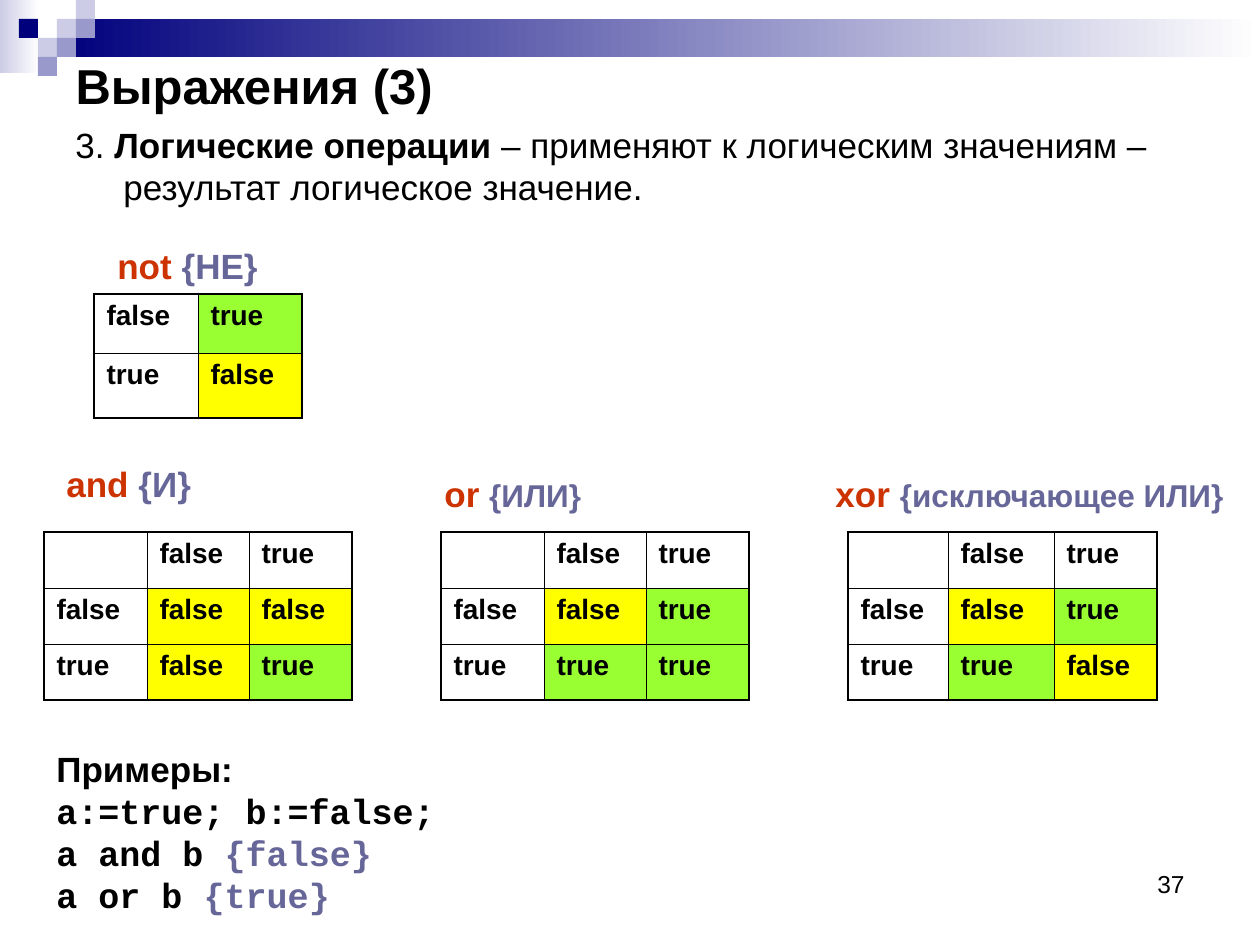
from lxml import etree
from pptx import Presentation
from pptx.dml.color import RGBColor
from pptx.enum.shapes import MSO_SHAPE
from pptx.enum.text import MSO_ANCHOR, MSO_AUTO_SIZE, PP_ALIGN
from pptx.oxml.ns import qn
from pptx.util import Pt

PX = 914400 / 126
BLACK = RGBColor(0x00, 0x00, 0x00)
WHITE = RGBColor(0xFF, 0xFF, 0xFF)
NAVY = RGBColor(0x00, 0x00, 0x7D)
LAVENDER = RGBColor(0xCC, 0xCC, 0xE6)
VIOLET = RGBColor(0x99, 0x99, 0xCC)
RED = RGBColor(0xCC, 0x33, 0x00)
SLATE = RGBColor(0x66, 0x66, 0x99)
GREEN = RGBColor(0x99, 0xFF, 0x33)
YELLOW = RGBColor(0xFF, 0xFF, 0x00)
RESULT_FILLS = {"true": GREEN, "false": YELLOW}

OUTER, INNER = 1.08, 0.45
SQUARE = 19
SQUARES = [(3, 1, LAVENDER), (4, 0, LAVENDER), (4, 1, VIOLET), (2, 2, LAVENDER),
           (1, 1, NAVY), (3, 2, VIOLET), (2, 3, VIOLET)]


def px(length):
    return round(length * PX)


def add_span(para, text, size=20, color=BLACK, bold=False, font="Arial"):
    span = para.add_run()
    span.text = text
    span.font.name = font
    span.font.size = Pt(size)
    span.font.bold = bold
    span.font.color.rgb = color


def add_box(page, left, top, width, height):
    box = page.shapes.add_textbox(px(left), px(top), px(width), px(height))
    box.text_frame.word_wrap = True
    return box.text_frame


def add_rect(page, left, top, width, height, color, fade=False):
    """Draw a borderless rectangle, plain or fading to white on the right."""
    rect = page.shapes.add_shape(MSO_SHAPE.RECTANGLE, px(left), px(top), px(width), px(height))
    rect.shadow.inherit = False
    rect.line.fill.background()
    if fade:
        rect.fill.gradient()
        rect.fill.gradient_angle = 0
        for stop, shade in zip(rect.fill.gradient_stops, (color, WHITE)):
            stop.color.rgb = shade
    else:
        rect.fill.solid()
        rect.fill.fore_color.rgb = color


def add_decoration(page):
    add_rect(page, 0, 0, 39, 73, LAVENDER, fade=True)
    add_rect(page, 57, 19, 1203, 38, NAVY, fade=True)
    for column, row, color in SQUARES:
        add_rect(page, column * SQUARE, row * SQUARE, SQUARE, SQUARE, color)


def set_title(page, text):
    title = page.shapes.title
    title.left, title.top, title.width, title.height = px(63), px(63), px(1134), px(43)
    frame = title.text_frame
    frame.auto_size = MSO_AUTO_SIZE.NONE
    frame.vertical_anchor = MSO_ANCHOR.MIDDLE
    para = frame.paragraphs[0]
    para.alignment = PP_ALIGN.LEFT
    add_span(para, text, size=28, bold=True)


def add_definition(page):
    para = add_box(page, 63, 117, 1197, 110).paragraphs[0]
    para.line_spacing = Pt(24)
    properties = para._p.get_or_add_pPr()
    properties.set("marL", str(px(48)))
    properties.set("indent", str(px(-48)))
    add_span(para, "3. ")
    add_span(para, "Логические операции", bold=True)
    add_span(para, " – применяют к логическим значениям – результат логическое значение.")


def add_label(page, left, top, width, operator, meaning, size=20):
    para = add_box(page, left, top, width, 55).paragraphs[0]
    add_span(para, operator + " ", color=RED, bold=True)
    add_span(para, meaning, size=size, color=SLATE, bold=True)


def set_border(cell, side, points):
    line = etree.SubElement(cell._tc.get_or_add_tcPr(), qn(f"a:ln{side}"), w=str(Pt(points)))
    fill = etree.SubElement(line, qn("a:solidFill"))
    etree.SubElement(fill, qn("a:srgbClr"), val=str(BLACK))


def add_truth_table(page, left, top, widths, heights, rows, heading_rows):
    """Fill a grid; cells past the heading rows and first column are coloured by value."""
    frame = page.shapes.add_table(len(heights), len(widths), px(left), px(top),
                                  px(sum(widths)), px(sum(heights)))
    table = frame.table
    table.first_row = table.horz_banding = False
    for column, width in zip(table.columns, widths):
        column.width = px(width)
    for row, height in zip(table.rows, heights):
        row.height = px(height)
    last_row, last_column = len(heights) - 1, len(widths) - 1
    for i, values in enumerate(rows):
        for j, value in enumerate(values):
            cell = table.cell(i, j)
            edges = {"L": j == 0, "R": j == last_column, "T": i == 0, "B": i == last_row}
            for side, is_outer in edges.items():
                set_border(cell, side, OUTER if is_outer else INNER)
            if i >= heading_rows and j > 0:
                cell.fill.solid()
                cell.fill.fore_color.rgb = RESULT_FILLS[value]
            else:
                cell.fill.background()
            if value:
                add_span(cell.text_frame.paragraphs[0], value, size=16, bold=True)


def add_binary_table(page, left, widths, operation):
    operands = (False, True)
    rows = [["", "false", "true"]]
    for first in operands:
        results = [operation(first, second) for second in operands]
        rows.append([str(value).lower() for value in (first, *results)])
    add_truth_table(page, left, 532, widths, [56] * 3, rows, heading_rows=1)


def add_examples(page):
    frame = add_box(page, 44, 741, 1160, 181)
    lines = [("Примеры:", "", "Arial"),
             ("a:=true; b:=false;", "", "Courier New"),
             ("a and b ", "{false}", "Courier New"),
             ("a or b ", "{true}", "Courier New")]
    for index, (code, comment, font) in enumerate(lines):
        para = frame.add_paragraph() if index else frame.paragraphs[0]
        para.line_spacing = Pt(24)
        add_span(para, code, bold=True, font=font)
        if comment:
            add_span(para, comment, color=SLATE, bold=True, font=font)


def add_page_number(page, number):
    para = add_box(page, 903, 863, 294, 66).paragraphs[0]
    para.alignment = PP_ALIGN.RIGHT
    add_span(para, number, size=14)


def main():
    deck = Presentation()
    deck.slide_width, deck.slide_height = px(1260), px(945)
    page = deck.slides.add_slide(deck.slide_layouts[5])
    add_decoration(page)
    set_title(page, "Выражения (3)")
    add_definition(page)

    add_label(page, 105, 238, 189, "not", "{НЕ}")
    add_truth_table(page, 94, 294, [104, 104], [59, 65],
                    [["false", "true"], ["true", "false"]], heading_rows=0)

    add_label(page, 54, 456, 179, "and", "{И}")
    add_label(page, 432, 466, 169, "or", "{ИЛИ}", size=18)
    add_label(page, 823, 466, 437, "xor", "{исключающее ИЛИ}", size=18)
    add_binary_table(page, 44, [103, 102, 103], lambda a, b: a and b)
    add_binary_table(page, 441, [103, 102, 103], lambda a, b: a or b)
    add_binary_table(page, 848, [100, 106, 103], lambda a, b: a != b)

    add_examples(page)
    add_page_number(page, "37")
    deck.save("out.pptx")


if __name__ == "__main__":
    main()
